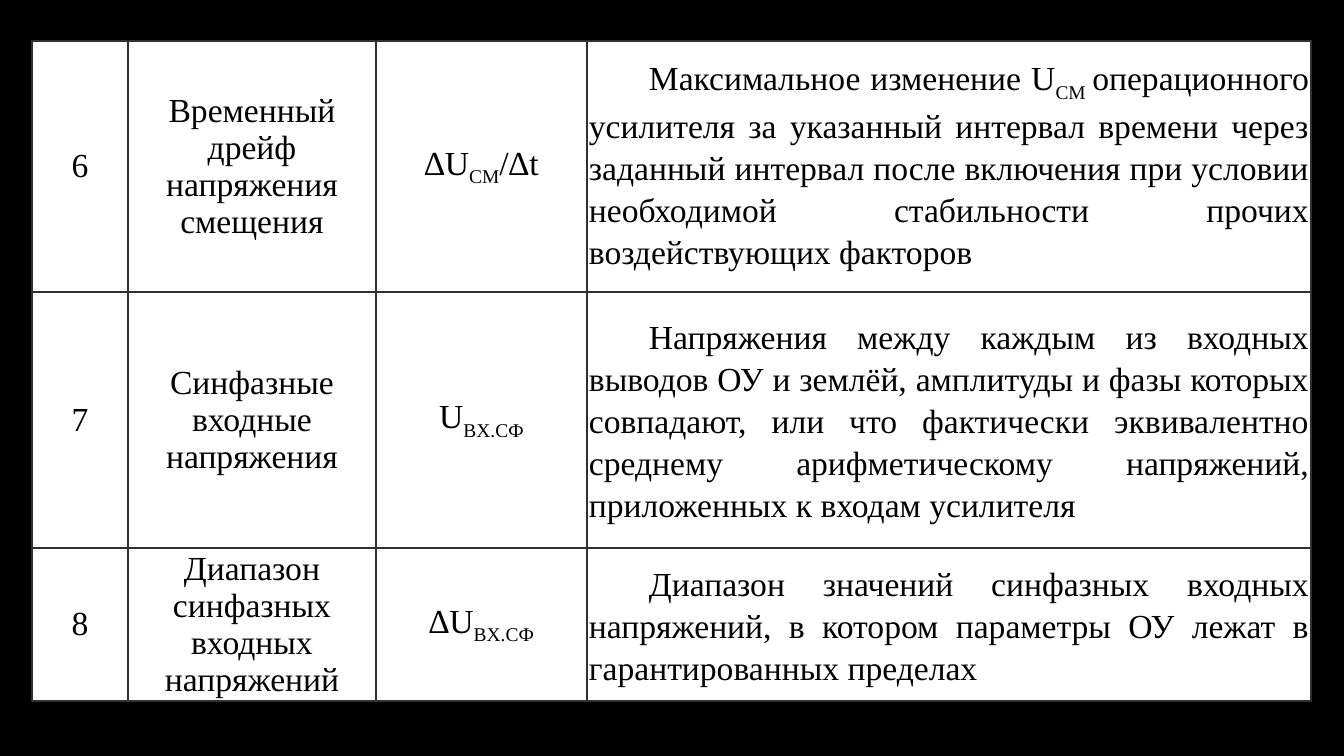
from lxml.etree import SubElement
from pptx import Presentation
from pptx.dml.color import RGBColor
from pptx.enum.text import MSO_ANCHOR, PP_ALIGN
from pptx.oxml.ns import qn
from pptx.util import Pt

BLACK = RGBColor(0x00, 0x00, 0x00)
WHITE = RGBColor(0xFF, 0xFF, 0xFF)
GRAY = RGBColor(0x30, 0x30, 0x30)

SCALE = 12192000 / 1344
COLS = [96, 248, 211, 724]
HEIGHTS = [251, 256, 153]
ROWS = [
    [["6"], ["Временный дрейф напряжения смещения"], ["∆U", "СМ", "/∆t"],
     ["Максимальное изменение U", "СМ ",
      "операционного усилителя за указанный интервал времени через заданный "
      "интервал после включения при условии необходимой стабильности прочих "
      "воздействующих факторов"]],
    [["7"], ["Синфазные входные напряжения"], ["U", "BX.СФ"],
     ["Напряжения между каждым из входных выводов ОУ и землёй, амплитуды и "
      "фазы которых совпадают, или что фактически эквивалентно среднему "
      "арифметическому напряжений, приложенных к входам усилителя"]],
    [["8"], ["Диапазон синфазных входных напряжений"], ["∆U", "BX.СФ"],
     ["Диапазон значений синфазных входных напряжений, в котором параметры ОУ "
      "лежат в гарантированных пределах"]],
]


def px(n):
    return round(n * SCALE)


class Deck:
    font = {"name": "Times New Roman", "size": Pt(24)}
    cell = {"vertical_anchor": MSO_ANCHOR.MIDDLE, "margin_left": px(2),
            "margin_right": px(2), "margin_top": px(2), "margin_bottom": px(2)}
    label = {"alignment": PP_ALIGN.CENTER}
    body = {"alignment": PP_ALIGN.JUSTIFY, "line_spacing": Pt(30)}

    def __init__(self):
        self.prs = Presentation()
        self.prs.slide_width, self.prs.slide_height = px(1344), px(756)
        self.s = self.prs.slides.add_slide(self.prs.slide_layouts[6])
        fill = self.s.background.fill
        fill.solid()
        fill.fore_color.rgb = BLACK

    def apply(self, obj, values):
        for name, value in values.items():
            setattr(obj, name, value)

    def table(self, x, y, cols, heights, rows):
        t = self.s.shapes.add_table(len(rows), len(cols), px(x), px(y),
                                    px(sum(cols)), px(sum(heights))).table
        self.apply(t, {"first_row": False, "horz_banding": False})
        for col, w in zip(t.columns, cols):
            col.width = px(w)
        for row, h, texts in zip(t.rows, heights, rows):
            row.height = px(h)
            for i, (cell, parts) in enumerate(zip(row.cells, texts)):
                self.fill_cell(cell, parts, i == len(cols) - 1)

    def fill_cell(self, cell, parts, is_body):
        self.apply(cell, self.cell)
        self.borders(cell)
        cell.fill.solid()
        cell.fill.fore_color.rgb = WHITE
        p = cell.text_frame.paragraphs[0]
        self.apply(p, self.body if is_body else self.label)
        if is_body:
            pPr = p._p.get_or_add_pPr()
            pPr.set("marL", "0")
            pPr.set("indent", str(px(60)))
        for i, text in enumerate(parts):
            r = p.add_run()
            r.text = text
            self.apply(r.font, self.font)
            r.font.color.rgb = BLACK
            if i % 2:
                r._r.get_or_add_rPr().set("baseline", "-25000")

    def borders(self, cell):
        tcPr = cell._tc.get_or_add_tcPr()
        for side in ("lnL", "lnR", "lnT", "lnB"):
            ln = SubElement(tcPr, qn("a:" + side), w=str(Pt(1.2)))
            fill = SubElement(ln, qn("a:solidFill"))
            SubElement(fill, qn("a:srgbClr"), val=str(GRAY))


def main():
    deck = Deck()
    deck.table(32, 41, COLS, HEIGHTS, ROWS)
    deck.prs.save("out.pptx")


if __name__ == "__main__":
    main()
